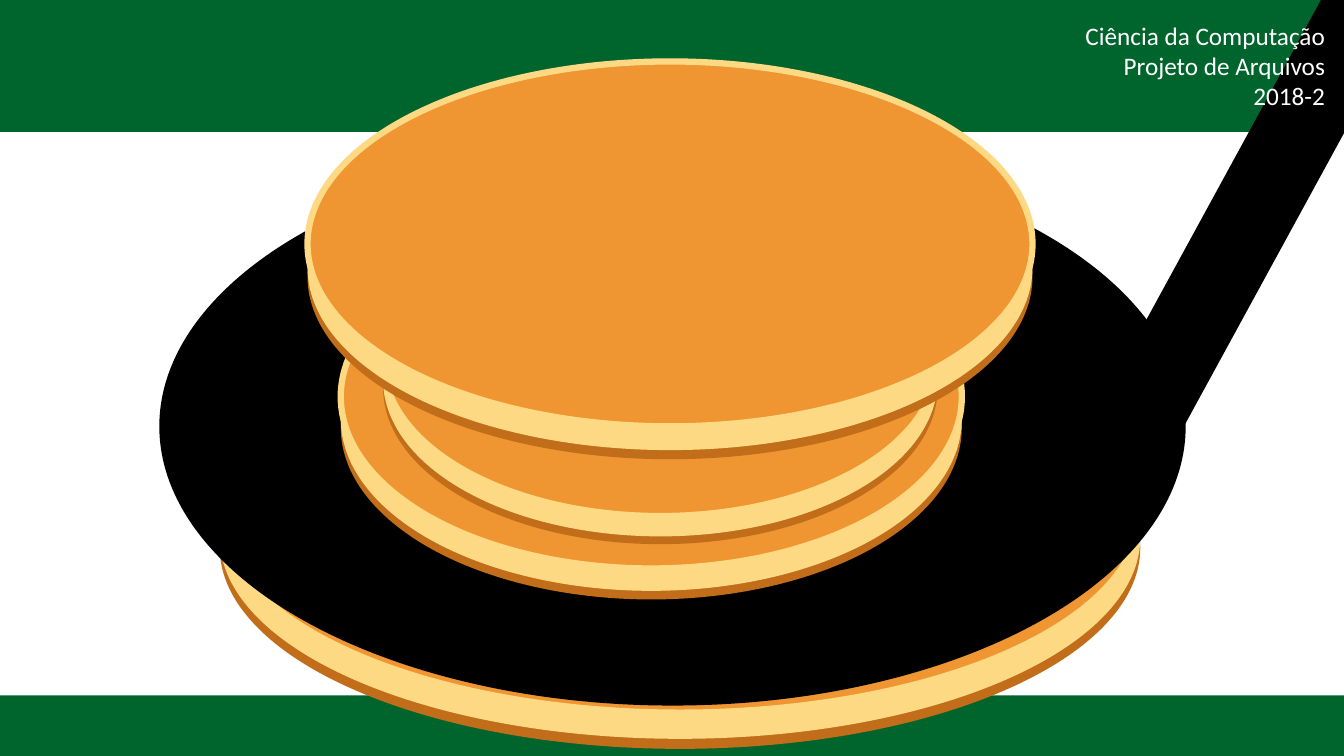
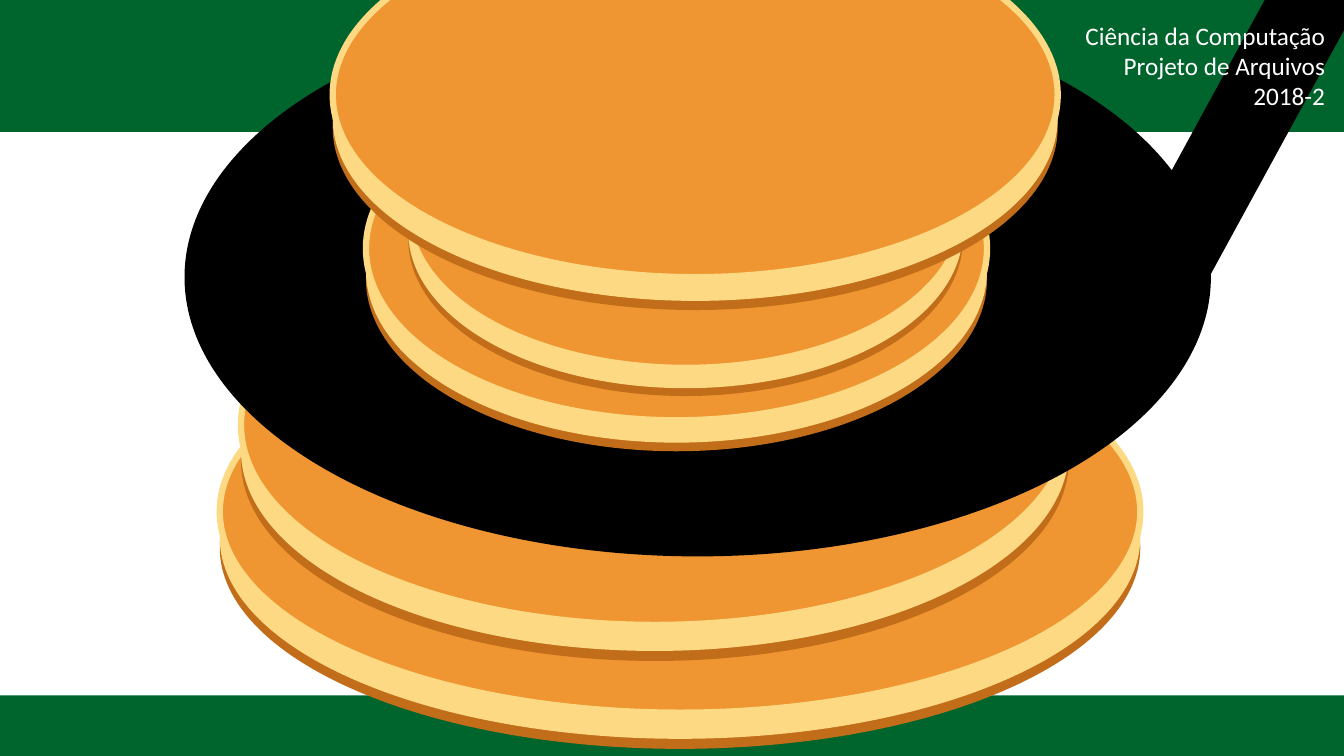
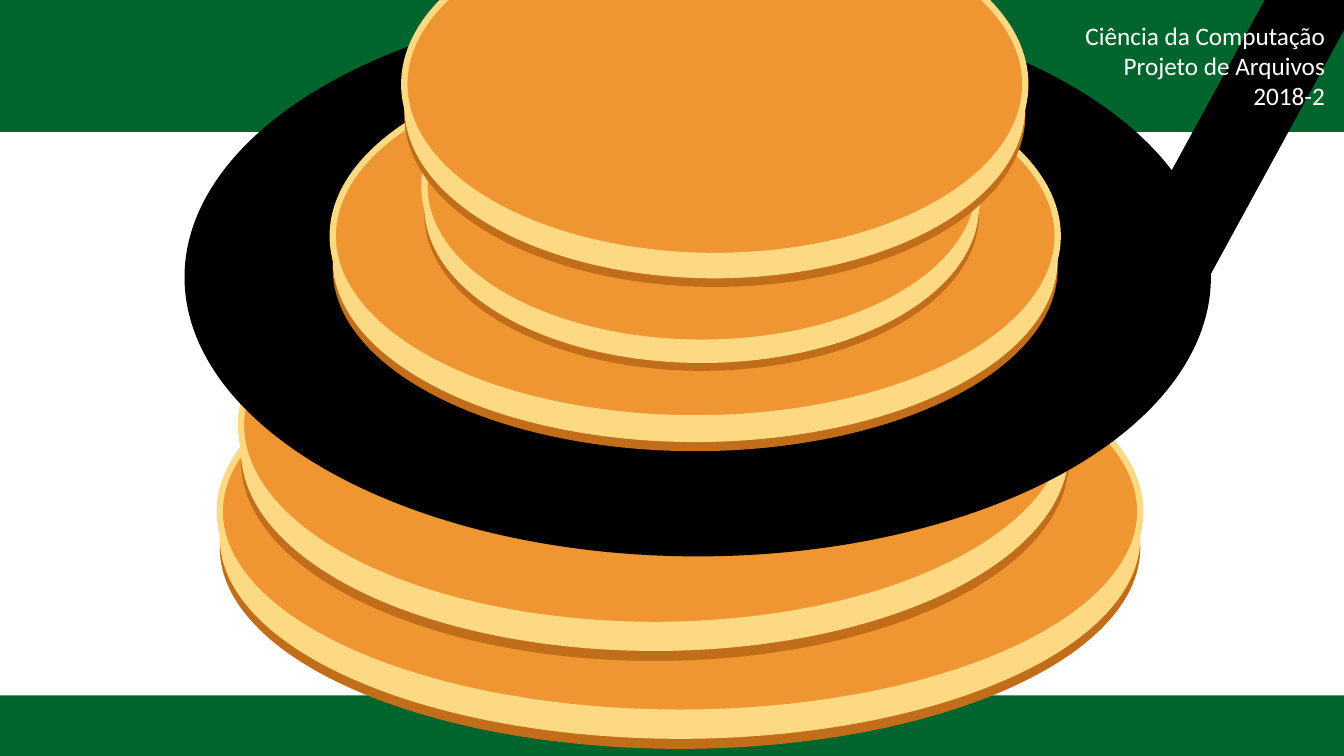
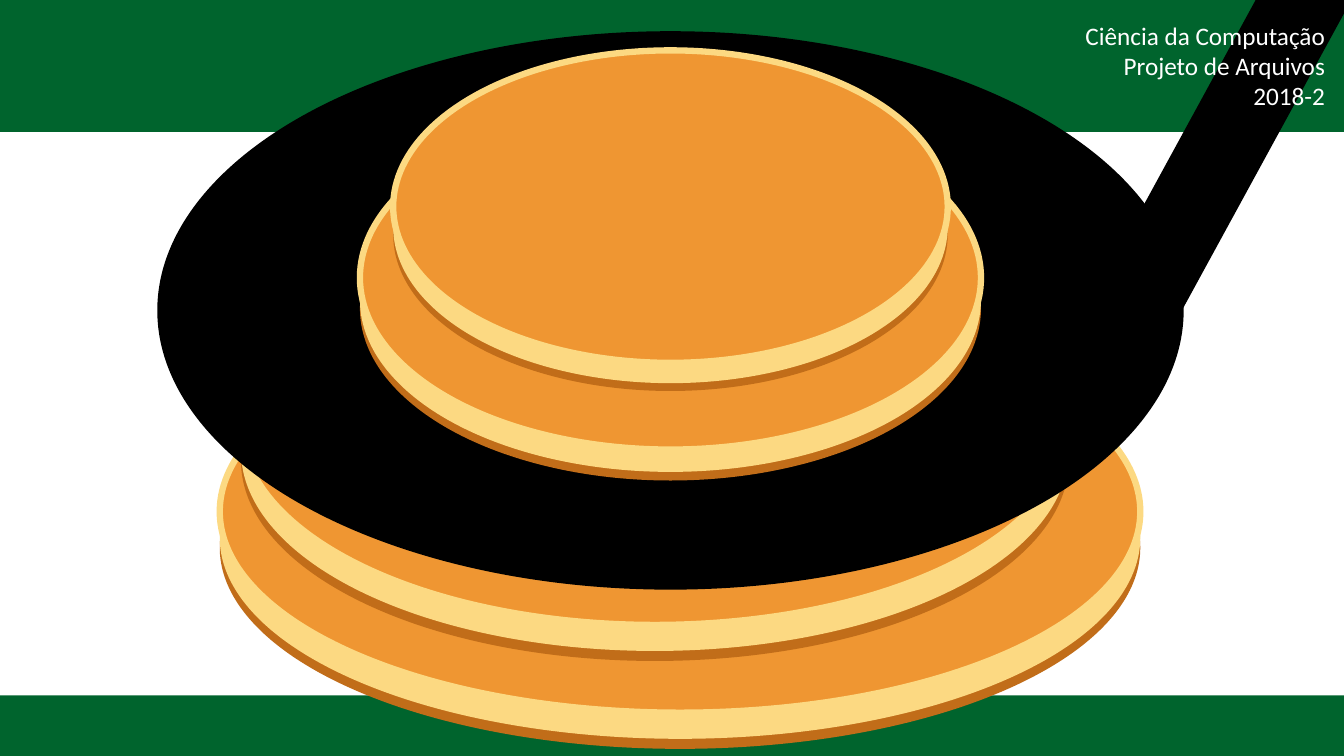
from lxml import etree
from pptx import Presentation
from pptx.dml.color import RGBColor
from pptx.enum import shapes, text
from pptx.oxml import ns
from pptx.util import Inches, Pt

WIDTH, HEIGHT = 13.33, 7.5
HUES = {"green": "00642D", "crust": "C16D19", "cream": "FCD982",
        "top": "EF9632", "pan": "000000", "white": "FFFFFF"}
FONT = {"name": "Calibri", "size": Pt(18)}
LINES = ["Ciência da Computação", "Projeto de Arquivos", "2018-2"]

# Cake sizes, from largest to smallest
SIZES = {"A": (9.13, 3.99), "B": (8.21, 3.97), "C": (7.19, 3.62),
         "D": (6.16, 3.41), "E": (5.5, 3.1)}
# Drop of each layer below the top face, as a share of the cake height
LAYERS = [("crust", 0.09), ("cream", 0.065), ("top", 0)]

# Each scene: cakes on the plate, pan corner, cakes in the pan
BASE = [("A", 2.18, 3.08)]
PLATE = BASE + [("B", 2.39, 2.23)]
SCENES = [
    (BASE, (1.58, 1.46),
     [("D", 3.38, 2.23), ("E", 3.8, 2.02), ("C", 3.05, 0.61)]),
    (PLATE, (1.83, -0.02),
     [("D", 3.63, 0.76), ("E", 4.05, 0.55), ("C", 3.3, -0.87)]),
    (PLATE, (1.83, -0.02),
     [("C", 3.3, 0.53), ("E", 4.21, 0.3), ("D", 4.01, -0.87)]),
    (PLATE, (1.56, 0.31),
     [("D", 3.57, 1.05), ("E", 3.9, 0.5)]),
]


def color(hue):
    return RGBColor.from_string(HUES[hue])


def add_form(parent, kind, box, hue):
    form = parent.add_shape(kind, *map(Inches, box))
    form.shadow.inherit = False
    form.fill.solid()
    form.fill.fore_color.rgb = color(hue)
    form.line.fill.background()
    return form


def add_bands(slide):
    for top, high in ((HEIGHT - 0.6, 0.6), (0, 1.31)):
        add_form(slide.shapes, shapes.MSO_SHAPE.RECTANGLE,
                 (0, top, WIDTH, high), "green")


def add_cake(slide, size, left, top):
    wide, high = SIZES[size]
    group = slide.shapes.add_group_shape()
    for hue, drop in LAYERS:
        face = add_form(group.shapes, shapes.MSO_SHAPE.OVAL,
                        (left, top + drop * high, wide, high), hue)
    # Only the top face has a rim
    face.line.color.rgb = color("cream")
    face.line.width = Pt(4.5)


def add_pan(slide, left, top):
    add_form(slide.shapes, shapes.MSO_SHAPE.OVAL,
             (left, top, 10.18, 5.54), "pan")
    ends = (left + 9.72, top + 2.71, left + 12.52, top - 2.42)
    handle = slide.shapes.add_connector(
        shapes.MSO_CONNECTOR.STRAIGHT, *map(Inches, ends))
    handle.line.color.rgb = color("pan")
    handle.line.width = Pt(60)
    etree.SubElement(handle.element.spPr, ns.qn("a:effectLst"))


def add_label(slide, box):
    frame = slide.shapes.add_textbox(*map(Inches, box)).text_frame
    frame.word_wrap = True
    frame.auto_size = text.MSO_AUTO_SIZE.SHAPE_TO_FIT_TEXT
    frame.text = "\n".join(LINES)
    for para in frame.paragraphs:
        para.alignment = text.PP_ALIGN.RIGHT
        font = para.runs[0].font
        for key, value in FONT.items():
            setattr(font, key, value)
        font.color.rgb = color("white")


def add_scene(deck, plate, corner, stack):
    slide = deck.slides.add_slide(deck.slide_layouts[6])
    add_bands(slide)
    for cake in plate:
        add_cake(slide, *cake)
    add_pan(slide, *corner)
    for cake in stack:
        add_cake(slide, *cake)
    add_label(slide, (9.05, 0.15, 4.19, 1.01))


def main():
    deck = Presentation()
    deck.slide_width, deck.slide_height = Inches(WIDTH), Inches(HEIGHT)
    for scene in SCENES:
        add_scene(deck, *scene)
    deck.save("out.pptx")


if __name__ == "__main__":
    main()
